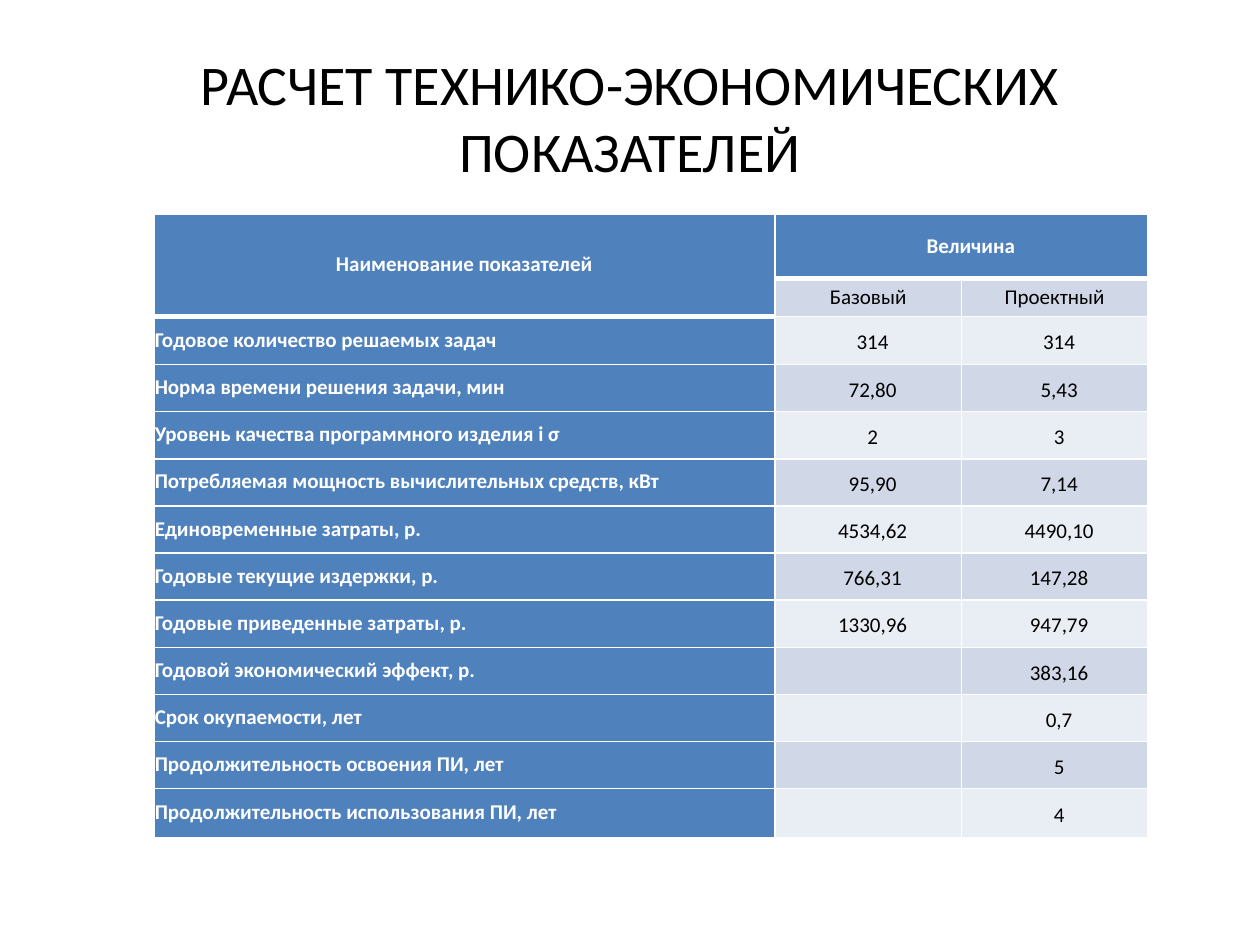
"""Build the slide with the table of technical and economic figures."""
from dataclasses import dataclass

from lxml import etree
from pptx import Presentation
from pptx.dml.color import RGBColor
from pptx.enum.text import MSO_ANCHOR, PP_ALIGN
from pptx.oxml.ns import qn
from pptx.slide import Slide
from pptx.table import Table, _Cell
from pptx.util import Cm, Pt

MID = MSO_ANCHOR.MIDDLE
LEFT, CENTER = PP_ALIGN.LEFT, PP_ALIGN.CENTER
FONT = "Calibri"
HUES = {"head": "4F81BD", "dark": "D0D8E8", "light": "E9EDF4",
        "white": "FFFFFF", "black": "000000"}
COLS = (12.52, 3.76, 3.76)
HEIGHTS = (1.3, 0.76, 0.97, *[0.95] * 9, 0.99)
ROWS = (
    ("Наименование показателей", "Величина", ""),
    ("", "Базовый", "Проектный"),
    ("Годовое количество решаемых задач", "314", "314"),
    ("Норма времени решения задачи, мин", "72,80", "5,43"),
    ("Уровень качества программного изделия i σ", "2", "3"),
    ("Потребляемая мощность вычислительных средств, кВт", "95,90", "7,14"),
    ("Единовременные затраты, р.", "4534,62", "4490,10"),
    ("Годовые текущие издержки, р.", "766,31", "147,28"),
    ("Годовые приведенные затраты, р.", "1330,96", "947,79"),
    ("Годовой экономический эффект, р.", "", "383,16"),
    ("Срок окупаемости, лет", "", "0,7"),
    ("Продолжительность освоения ПИ, лет", "", "5"),
    ("Продолжительность использования ПИ, лет", "", "4"),
)


@dataclass(frozen=True)
class Look:
    """Format of one kind of cell."""
    ink: str
    bold: bool
    align: PP_ALIGN
    space: float | Pt
    margin: float = 0
    indent: float = 0


TOP = Look("white", True, CENTER, Pt(13.9))
SPAN = Look("white", True, CENTER, Pt(13.9), margin=0.38)
SUB = Look("black", False, CENTER, Pt(13.9))
LABEL = Look("white", True, LEFT, Pt(13.9))
VALUE = Look("black", False, CENTER, 1.15, indent=0.18)


def pick(row: int, col: int) -> Look:
    """Choose the format for a place in the table."""
    if row == 0:
        return SPAN if col else TOP
    if col == 0:
        return LABEL
    return SUB if row == 1 else VALUE


def tint(row: int, col: int) -> str:
    """Choose the fill for a place in the table."""
    if row == 0 or col == 0:
        return "head"
    return "dark" if row % 2 else "light"


def edge(cell: _Cell, base: float) -> None:
    """Draw white borders, with the bottom one of a given width."""
    props = cell._tc.get_or_add_tcPr()
    for spot, (side, width) in enumerate(
            (("lnL", 1), ("lnR", 1), ("lnT", 1), ("lnB", base))):
        line = etree.Element(qn(f"a:{side}"), w=str(Pt(width)))
        fill = etree.SubElement(line, qn("a:solidFill"))
        etree.SubElement(fill, qn("a:srgbClr"), val=HUES["white"])
        props.insert(spot, line)


def write(cell: _Cell, text: str, look: Look) -> None:
    """Put formatted text in a cell."""
    cell.vertical_anchor = MID
    cell.margin_left = cell.margin_right = Cm(0.02)
    cell.margin_top = cell.margin_bottom = 0
    if not text:
        return
    para = cell.text_frame.paragraphs[0]
    para.text = text
    para.alignment = look.align
    para.line_spacing = look.space
    props = para._p.get_or_add_pPr()
    props.set("marL", str(Cm(look.margin)))
    props.set("indent", str(Cm(look.indent)))
    font = para.runs[0].font
    font.name, font.size, font.bold = FONT, Pt(12), look.bold
    font.color.rgb = RGBColor.from_string(HUES[look.ink])


def fill(table: Table) -> None:
    """Size the grid and format every cell."""
    for col, width in zip(table.columns, COLS):
        col.width = Cm(width)
    for line, height in zip(table.rows, HEIGHTS):
        line.height = Cm(height)
    for row, texts in enumerate(ROWS):
        for col, text in enumerate(texts):
            cell = table.cell(row, col)
            write(cell, text, pick(row, col))
            cell.fill.solid()
            cell.fill.fore_color.rgb = RGBColor.from_string(HUES[tint(row, col)])
            edge(cell, 3 if row == 0 or (row, col) == (1, 0) else 1)
    table.cell(0, 0).merge(table.cell(1, 0))
    table.cell(0, 1).merge(table.cell(0, 2))


def head(slide: Slide, text: str) -> None:
    """Place and format the title."""
    title = slide.shapes.title
    title.left, title.top = Cm(1.27), Cm(0.76)
    title.width, title.height = Cm(22.86), Cm(3.18)
    frame = title.text_frame
    frame.text = text
    frame.word_wrap = True
    frame.vertical_anchor = MID
    para = frame.paragraphs[0]
    para.alignment = CENTER
    font = para.runs[0].font
    font.name, font.size = FONT, Pt(32)
    font.color.rgb = RGBColor.from_string(HUES["black"])


def main() -> None:
    """Make and save the deck."""
    deck = Presentation()
    deck.slide_width, deck.slide_height = Cm(25.4), Cm(19.05)
    slide = deck.slides.add_slide(deck.slide_layouts[5])
    head(slide, "РАСЧЕТ ТЕХНИКО-ЭКОНОМИЧЕСКИХ ПОКАЗАТЕЛЕЙ")
    grid = slide.shapes.add_table(len(ROWS), len(COLS), Cm(3.1), Cm(4.32),
                                  Cm(sum(COLS)), Cm(sum(HEIGHTS)))
    fill(grid.table)
    deck.save("out.pptx")


if __name__ == "__main__":
    main()
